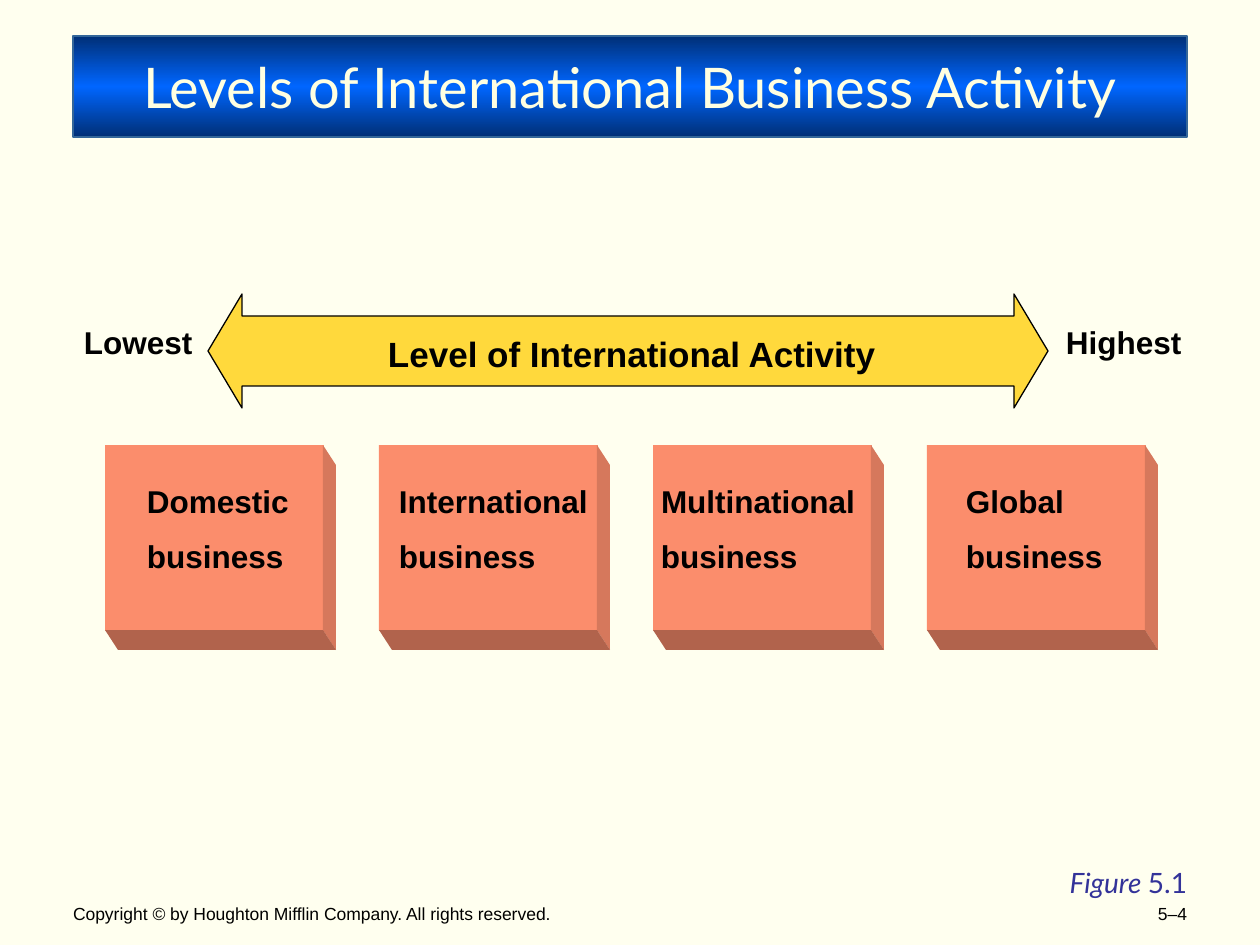
import copy
import dataclasses
import typing

import pptx
import pptx.dml.color
import pptx.enum.dml
import pptx.enum.shapes
import pptx.enum.text
import pptx.oxml.ns
import pptx.util

RGB = pptx.dml.color.RGBColor
ALIGN = pptx.enum.text.PP_ALIGN
ANCHOR = pptx.enum.text.MSO_ANCHOR
FIT = pptx.enum.text.MSO_AUTO_SIZE
RECT = pptx.enum.shapes.MSO_SHAPE.RECTANGLE

CREAM = RGB(0xFF, 0xFF, 0xEF)
PALE = RGB(0xFF, 0xFF, 0xE1)
NAVY = RGB(0x00, 0x2F, 0x76)
BLUE = RGB(0x00, 0x66, 0xFF)
STEEL = RGB(0x33, 0x66, 0x99)
INDIGO = RGB(0x33, 0x33, 0x99)
GOLD = RGB(0xFF, 0xD9, 0x3C)
CORAL = RGB(0xFB, 0x8D, 0x6C)
RUST = RGB(0xD6, 0x78, 0x5C)
BROWN = RGB(0xB1, 0x63, 0x4C)
BLACK = RGB(0x00, 0x00, 0x00)

SCALE = 914400 / 126  # EMU in one px

Point = tuple[int, int]
Box = tuple[int, int, int, int]


@dataclasses.dataclass
class Label:
    text: str
    box: Box
    size: int = 18
    bold: bool = True
    wrap: bool = False
    align: typing.Any = ALIGN.LEFT
    anchor: typing.Any = ANCHOR.TOP
    fit: typing.Any = FIT.SHAPE_TO_FIT_TEXT


@dataclasses.dataclass
class Block:
    word: str
    left: int  # of both text lines
    width: int  # of the first line


FOOT = {"size": 10, "bold": False, "wrap": True,
        "anchor": ANCHOR.BOTTOM, "fit": FIT.NONE}
LABELS = [
    Label("Copyright © by Houghton Mifflin Company. All rights reserved.",
          (73, 882, 609, 42), **FOOT),
    Label("5–4", (1029, 892, 158, 32), align=ALIGN.RIGHT, **FOOT),
    Label("Level of International Activity", (388, 332, 491, 42), size=20),
    Label("Lowest", (84, 323, 111, 38)),
    Label("Highest", (1066, 323, 118, 38)),
]

BLOCKS = [
    Block("Domestic", 147, 145),
    Block("International", 399, 192),
    Block("Multinational", 661, 197),
    Block("Global", 966, 101),
]
LEFT, TOP, PITCH = 105, 445, 274
WIDE, HIGH = 218, 185
DEEP, DROP = 13, 20
LINE, STEP = 482, 55

ARROW = [(242, 386), (242, 408), (208, 351), (242, 294), (242, 316),
         (1014, 316), (1014, 294), (1048, 351), (1014, 408), (1014, 386)]


def px(num: float) -> int:
    return round(num * SCALE)


def apply(item: typing.Any, form: dict[str, typing.Any]) -> None:
    for key, val in form.items():
        setattr(item, key, val)


def style(font: typing.Any, color: RGB, form: dict[str, typing.Any]) -> None:
    apply(font, form)
    font.color.rgb = color


def paint(shape: typing.Any, fill: RGB | None, line: RGB | None,
          width: float = 0.75) -> None:
    """Set flat fill and outline; a fill of None is left alone."""
    shape.shadow.inherit = False
    if fill is not None:
        shape.fill.solid()
        shape.fill.fore_color.rgb = fill
    if line is None:
        shape.line.fill.background()
    else:
        shape.line.color.rgb = line
        shape.line.width = pptx.util.Pt(width)


def draw_rect(slide: typing.Any, box: Box) -> typing.Any:
    return slide.shapes.add_shape(RECT, *map(px, box))


def draw_poly(slide: typing.Any, points: list[Point], fill: RGB,
              line: RGB | None = None) -> None:
    build = slide.shapes.build_freeform(*points[0], scale=SCALE)
    build.add_line_segments(points[1:], close=True)
    paint(build.convert_to_shape(), fill, line)


def draw_text(slide: typing.Any, label: Label) -> typing.Any:
    """Add a text box and return its paragraph."""
    frame = slide.shapes.add_textbox(*map(px, label.box)).text_frame
    apply(frame, {"margin_left": 0, "margin_top": 0, "margin_right": 0,
                  "margin_bottom": 0, "word_wrap": label.wrap,
                  "auto_size": label.fit, "vertical_anchor": label.anchor})
    para = frame.paragraphs[0]
    para.alignment = label.align
    run = para.add_run()
    run.text = label.text
    style(run.font, BLACK, {"name": "Arial", "bold": label.bold,
                            "size": pptx.util.Pt(label.size)})
    return para


def draw_title(slide: typing.Any) -> None:
    bar = draw_rect(slide, (73, 36, 1114, 101))
    bar.fill.gradient()
    bar.fill.gradient_angle = 270
    stops = bar._element.spPr.find(".//" + pptx.oxml.ns.qn("a:gsLst"))
    stops.append(copy.deepcopy(stops[0]))
    for stop, place, color in zip(bar.fill.gradient_stops, (0, 0.5, 1),
                                  (NAVY, BLUE, NAVY)):
        stop.position = place
        stop.color.rgb = color
    paint(bar, None, STEEL)
    frame = bar.text_frame
    apply(frame, {"word_wrap": True, "vertical_anchor": ANCHOR.MIDDLE,
                  "margin_top": px(19), "margin_bottom": px(19)})
    para = frame.paragraphs[0]
    para.alignment = ALIGN.CENTER
    run = para.add_run()
    run.text = "Levels of International Business Activity"
    style(run.font, PALE, {"name": "Lato", "size": pptx.util.Pt(32)})


def draw_block(slide: typing.Any, block: Block, left: int) -> None:
    """Draw a face with its right and lower sides and two lines of text."""
    right, base = left + WIDE, TOP + HIGH
    face = draw_rect(slide, (left, TOP, WIDE, HIGH))
    paint(face, CORAL, CORAL, 0.25)
    far, low = right + DEEP, base + DROP
    draw_poly(slide, [(far, low), (far, TOP + DROP), (right, TOP),
                      (right, base)], RUST)
    draw_poly(slide, [(right, base), (left, base), (left + DEEP, low),
                      (far, low)], BROWN)
    lines = ((block.word, block.width), ("business", 139))
    for row, (text, width) in enumerate(lines):
        draw_text(slide, Label(text, (block.left, LINE + row * STEP,
                                      width, 38)))


def draw_figure(slide: typing.Any) -> None:
    para = draw_text(slide, Label("Figure ", (998, 866, 189, 34), wrap=True,
                                  align=ALIGN.RIGHT))
    para.add_run().text = "5.1"
    for run, slant in zip(para.runs, (True, False)):
        style(run.font, INDIGO, {"name": "Lato", "size": pptx.util.Pt(16),
                                 "bold": False, "italic": slant})


def main() -> None:
    deck = pptx.Presentation()
    apply(deck, {"slide_width": px(1260), "slide_height": px(945)})
    slide = deck.slides.add_slide(deck.slide_layouts[6])
    slide.background.fill.solid()
    slide.background.fill.fore_color.rgb = CREAM
    draw_title(slide)
    draw_poly(slide, ARROW, GOLD, BLACK)
    for label in LABELS:
        draw_text(slide, label)
    for col, block in enumerate(BLOCKS):
        draw_block(slide, block, LEFT + col * PITCH)
    draw_figure(slide)
    deck.save("out.pptx")


if __name__ == "__main__":
    main()
